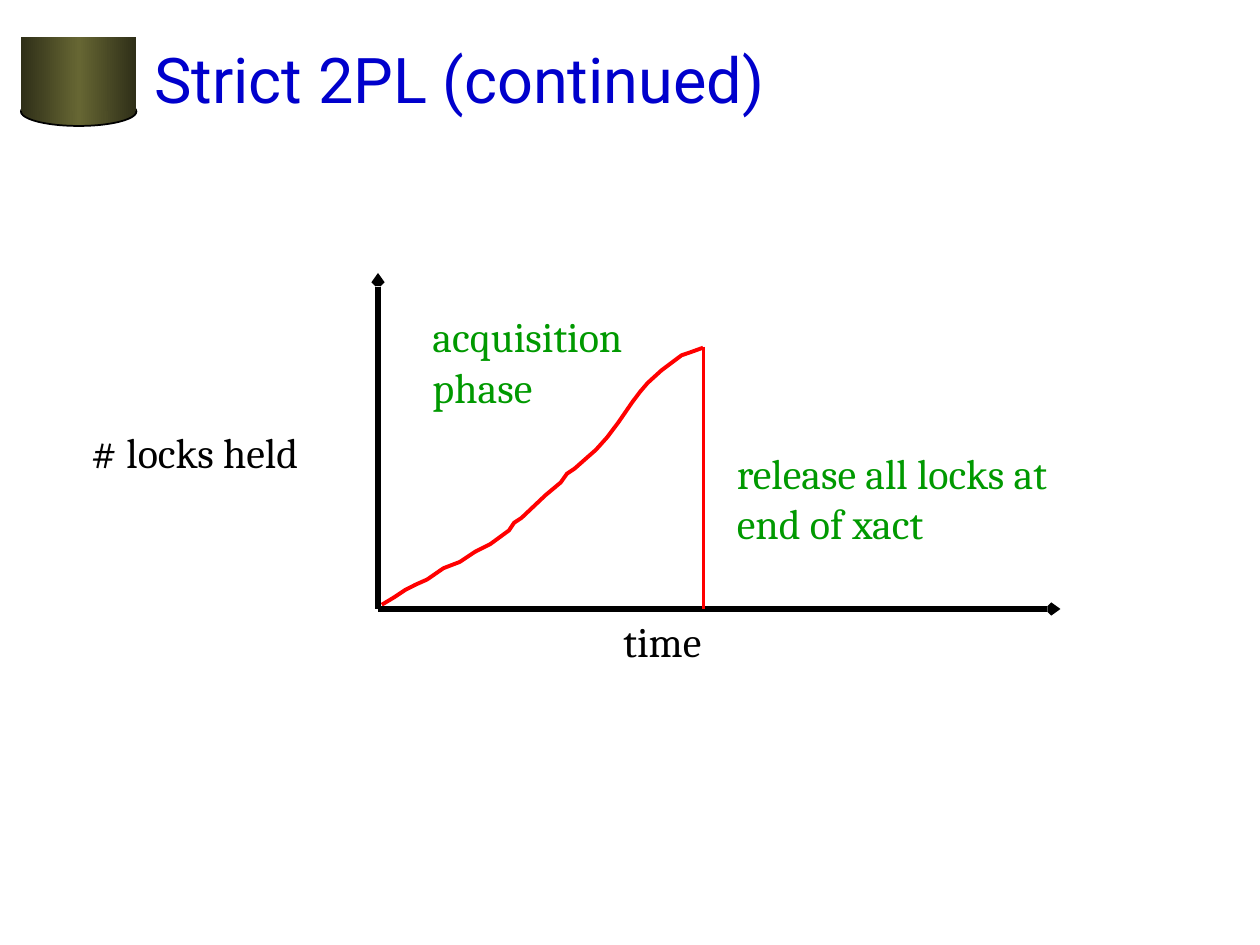
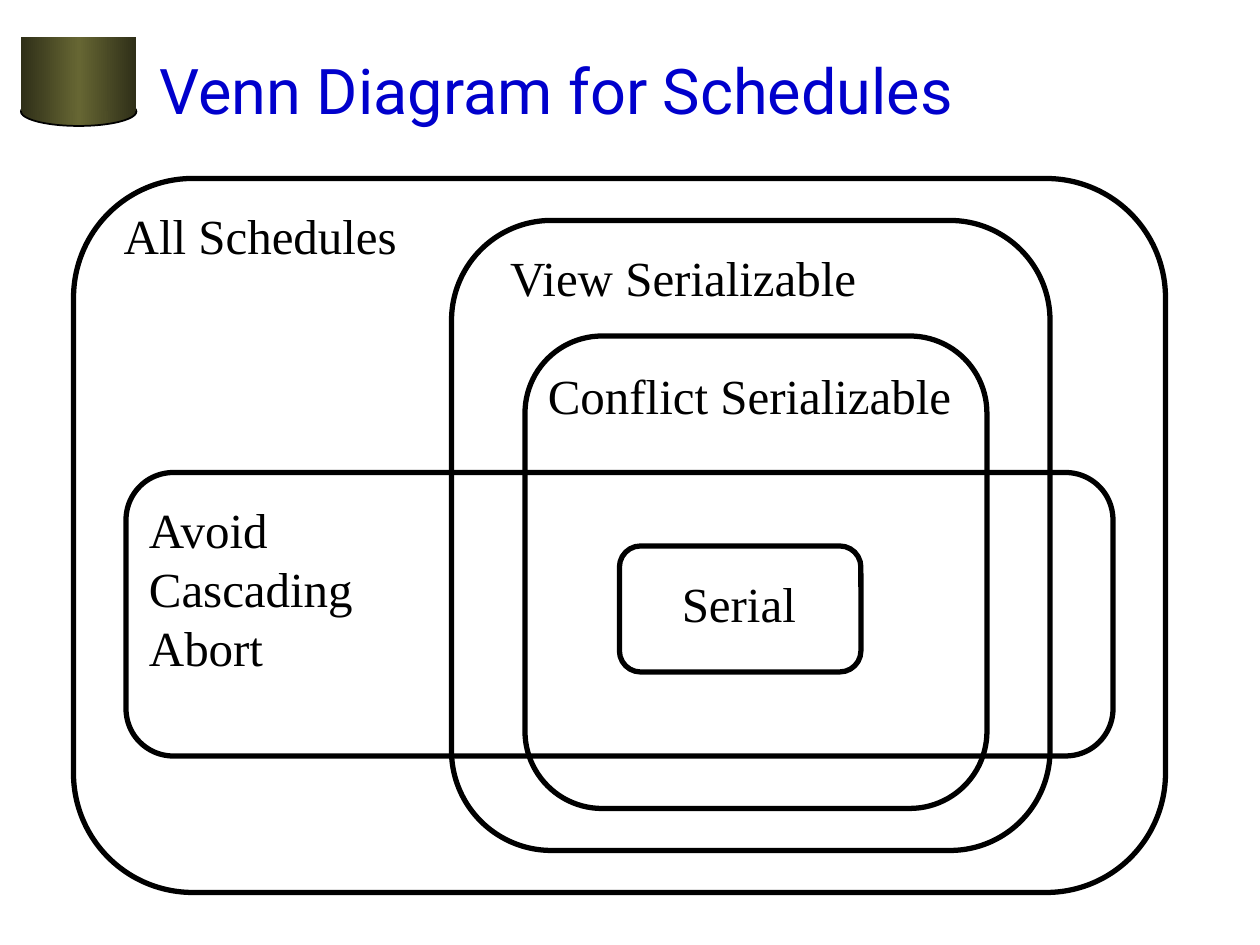
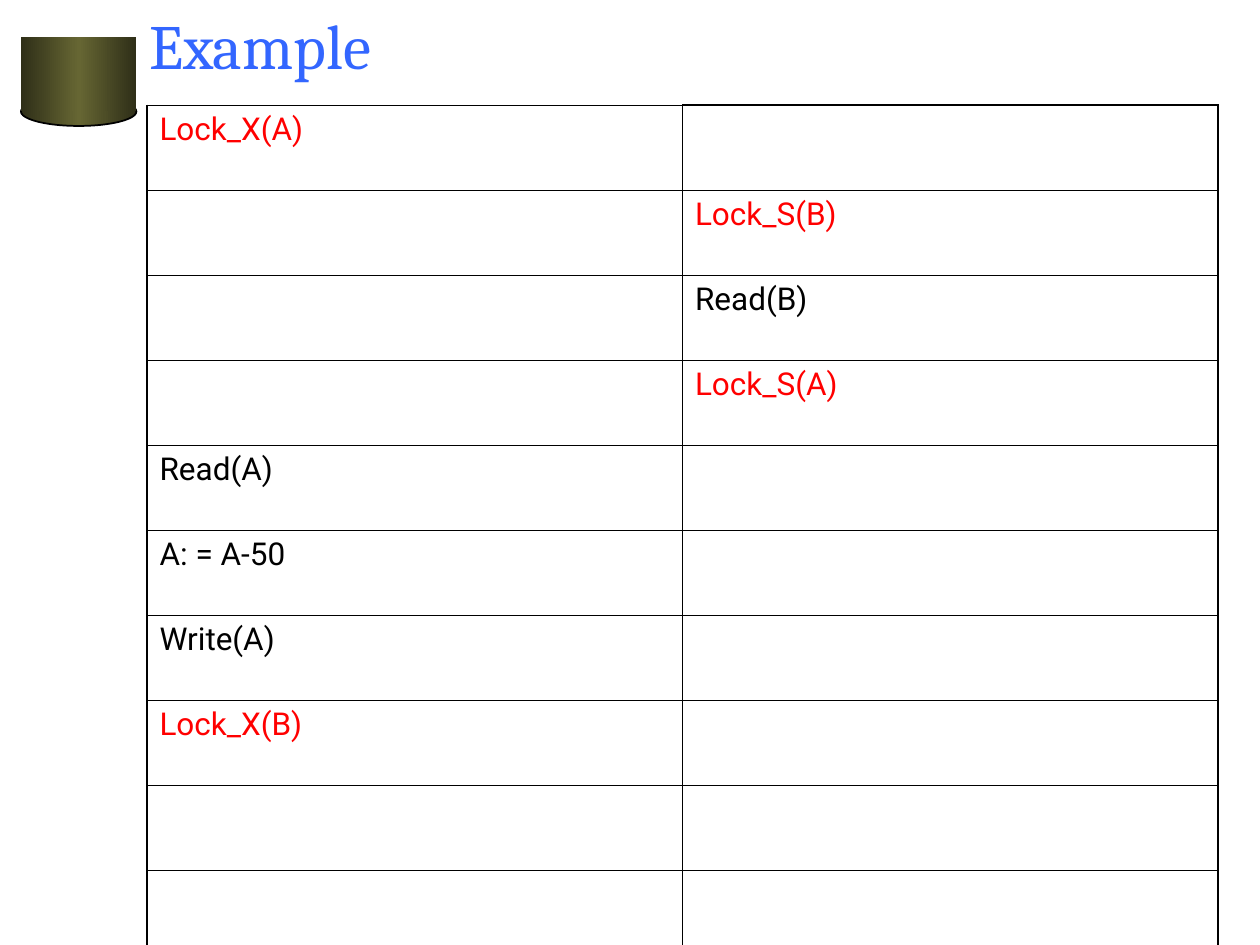
from copy import deepcopy

from lxml.etree import SubElement
from pptx import Presentation
from pptx.dml.color import RGBColor
from pptx.enum.shapes import MSO_CONNECTOR, MSO_SHAPE
from pptx.enum.text import MSO_ANCHOR, PP_ALIGN
from pptx.oxml.ns import qn
from pptx.util import Inches, Pt

OVAL, RECT, ROUNDED = MSO_SHAPE.OVAL, MSO_SHAPE.RECTANGLE, MSO_SHAPE.ROUNDED_RECTANGLE
STRAIGHT = MSO_CONNECTOR.STRAIGHT
LEFT, MIDDLE = PP_ALIGN.LEFT, MSO_ANCHOR.MIDDLE


class Theme:
    black = RGBColor.from_string("000000")
    red = RGBColor.from_string("FF0000")
    green = RGBColor.from_string("009900")
    blue = RGBColor.from_string("0000CC")
    light_blue = RGBColor.from_string("3366FF")
    olive = RGBColor.from_string("666633")
    dark_olive = RGBColor.from_string("2F2F18")
    title = {"name": "Roboto", "size": Pt(36), "bold": False}
    axis_label = {"name": "Cambria", "size": Pt(24), "color": black}
    phase_label = {**axis_label, "color": green}
    set_label = {"name": "Times New Roman", "size": Pt(28), "color": black}
    step = {"name": "Roboto", "size": Pt(18)}
    thick, curve, thin = Pt(3), Pt(2.25), Pt(1)
    border, inner_border = Pt(1.08), Pt(0.45)


def grid(*cells):
    """Turn grid counts, twelve to the inch, into lengths."""
    return [Inches(n / 12) for n in cells]


def write(tf, text, style):
    """Put text in a frame as one left-aligned paragraph in the given style."""
    tf.word_wrap = True
    p = tf.paragraphs[0]
    p.alignment = LEFT
    r = p.add_run()
    r.text = text
    for name, value in style.items():
        if name == "color":
            r.font.color.rgb = value
        else:
            setattr(r.font, name, value)
    return p


prs = Presentation()
prs.slide_width, prs.slide_height = Inches(10), Inches(7.5)
layout = prs.slide_layouts[5]

# Slides and their titles
titles = [
    ("Strict 2PL (continued)", Theme.blue, (13.5, 0, 102, 15), {}),
    ("Venn Diagram for Schedules", Theme.blue, (14, 1, 102, 15), {}),
    ("Example", Theme.light_blue, (13, 0, 102, 8.5), {"name": "Cambria"}),
]
for text, color, box, extra in titles:
    title = prs.slides.add_slide(layout).shapes.title
    title.left, title.top, title.width, title.height = grid(*box)
    title.text_frame.vertical_anchor = MIDDLE
    write(title.text_frame, text, {**Theme.title, "color": color, **extra})
locks, venn, example = prs.slides

# Cylinder in the corner, moved to the layout that all slides share
for index, (kind, box) in enumerate([(OVAL, (2, 9.25, 11, 2.75)), (RECT, (2, 3.5, 11, 7.1))]):
    sp = locks.shapes.add_shape(kind, *grid(*box))
    sp.shadow.inherit = False
    sp.fill.gradient()
    sp.fill.gradient_angle = 0
    stops = sp.element.find(".//" + qn("a:gsLst"))
    stops.append(deepcopy(stops[0]))
    colors = [Theme.dark_olive, Theme.olive, Theme.dark_olive]
    for stop, position, color in zip(sp.fill.gradient_stops, (0, 0.5, 1), colors):
        stop.position = position
        stop.color.rgb = color
    if kind == OVAL:
        sp.line.color.rgb = Theme.black
        sp.line.width = Theme.thin
    else:
        sp.line.fill.background()
    layout.shapes.element.insert(2 + index, sp.element)

# Strict 2PL: curve of locks held, in hundredths of an inch
curve = [
    (303, 480), (313, 474), (322, 468), (330, 464), (339, 460), (352, 451), (365, 446),
    (377, 438), (389, 432), (404, 421), (408, 415), (414, 411), (433, 393), (445, 383),
    (450, 376), (456, 372), (473, 357), (482, 347), (491, 335), (502, 319), (508, 311),
    (514, 304), (525, 294), (537, 285), (541, 282), (547, 280), (558, 276),
]
builder = locks.shapes.build_freeform(*curve[0], scale=Inches(0.01))
builder.add_line_segments(curve[1:], close=False)
sp = builder.convert_to_shape()
sp.shadow.inherit = False
sp.fill.background()
sp.line.color.rgb = Theme.red
sp.line.width = Theme.curve

lines = [
    ((36, 58, 36, 26), Theme.black, Theme.thick, True),
    ((36, 58, 101, 58), Theme.black, Theme.thick, True),
    ((67, 33, 67, 58), Theme.red, Theme.curve, False),
]
for ends, color, width, is_axis in lines:
    line = locks.shapes.add_connector(STRAIGHT, *grid(*ends))
    line.line.color.rgb = color
    line.line.width = width
    if is_axis:
        ln = line.element.find(".//" + qn("a:ln"))
        SubElement(ln, qn("a:tailEnd"), type="arrow", w="sm", len="sm")
    SubElement(line.element.spPr, qn("a:effectLst"))

# Venn diagram: nested sets
for box in [(7, 17, 104, 68), (12, 45, 94, 27), (59, 52, 23, 12),
            (50, 32, 44, 45), (43, 21, 57, 60)]:
    sp = venn.shapes.add_shape(ROUNDED, *grid(*box))
    sp.adjustments[0] = 0.167
    sp.shadow.inherit = False
    sp.fill.background()
    sp.line.color.rgb = Theme.black
    sp.line.width = Theme.thick

# Labels of both diagrams
labels = [
    (locks, "# locks held", (7.5, 40, 28, 6), Theme.axis_label),
    (locks, "time", (58.2, 58, 12, 6), Theme.axis_label),
    (locks, "acquisition phase", (40, 29, 26, 10.8), Theme.phase_label),
    (locks, "release all locks at end of xact", (69, 42, 33, 15.6), Theme.phase_label),
    (venn, "All Schedules", (10.6, 19, 30, 6.8), Theme.set_label),
    (venn, "Avoid Cascading Abort", (13, 47, 32, 18), Theme.set_label),
    (venn, "Serial", (63.75, 54, 14, 6.8), Theme.set_label),
    (venn, "View Serializable", (47.4, 23, 37, 6.8), Theme.set_label),
    (venn, "Conflict Serializable", (51, 34.2, 42, 6.8), Theme.set_label),
]
for slide, text, box, style in labels:
    tf = slide.shapes.add_textbox(*grid(*box)).text_frame
    p = write(tf, text, style)
    p.line_spacing = Pt(1.2 * style["size"].pt)

# Example: steps of two transactions, one column each
steps = [
    ("Lock_X(A)", ""), ("", "Lock_S(B)"), ("", "Read(B)"), ("", "Lock_S(A)"),
    ("Read(A)", ""), ("A: = A-50", ""), ("Write(A)", ""), ("Lock_X(B)", ""),
]
row_count = 16
left, top, width = grid(14, 10, 102)
row_height = int(0.09 * prs.slide_height)
table = example.shapes.add_table(row_count, 2, left, top, width, row_height * row_count).table
table.first_row = table.horz_banding = False
for i in range(row_count):
    for j in range(2):
        cell = table.cell(i, j)
        outer = {"L": j == 0, "R": j == 1, "T": i == 0 and j == 1, "B": i == row_count - 1}
        tcPr = cell._tc.get_or_add_tcPr()
        for side, is_outer in outer.items():
            weight = Theme.border if is_outer else Theme.inner_border
            ln = SubElement(tcPr, qn("a:ln" + side), w=str(int(weight)))
            fill = SubElement(ln, qn("a:solidFill"))
            SubElement(fill, qn("a:srgbClr"), val=str(Theme.black))
        cell.fill.background()
        text = steps[i][j] if i < len(steps) else ""
        if text:
            color = Theme.red if text.startswith("Lock") else Theme.black
            write(cell.text_frame, text, {**Theme.step, "color": color})

prs.save("out.pptx")
